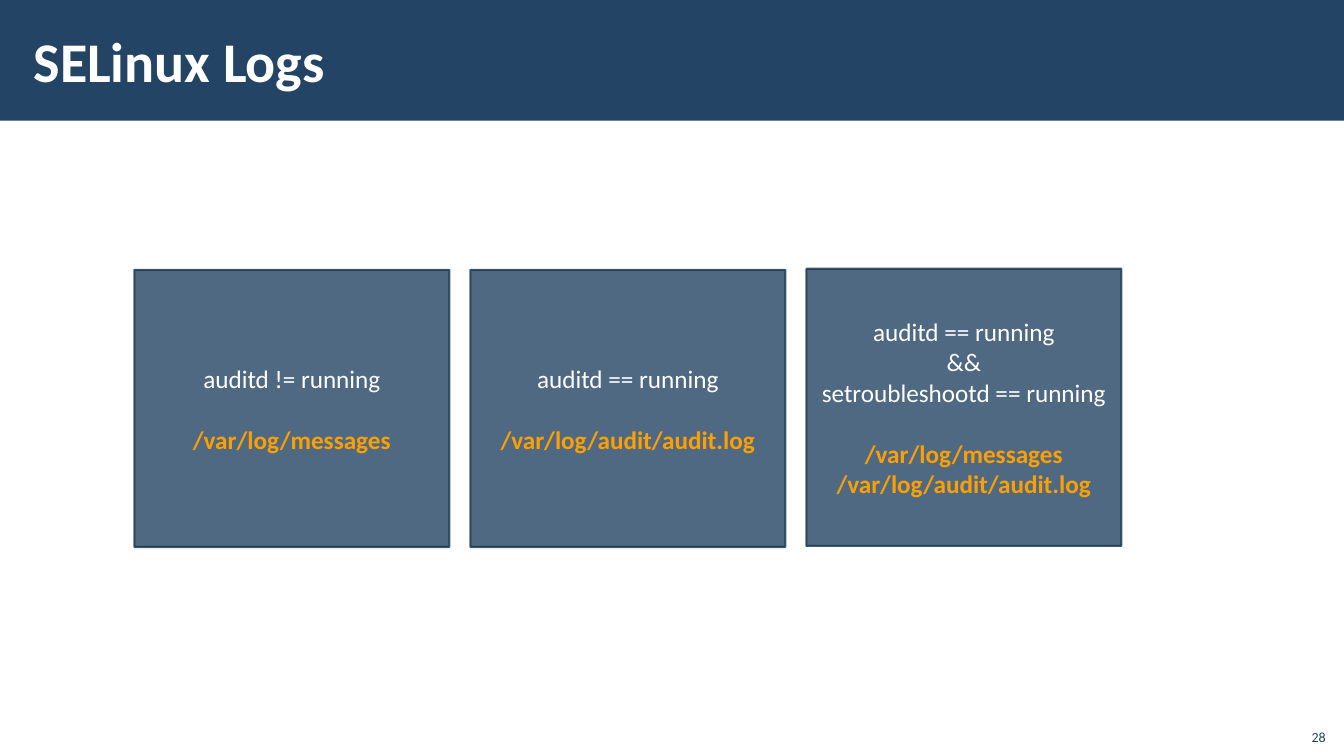
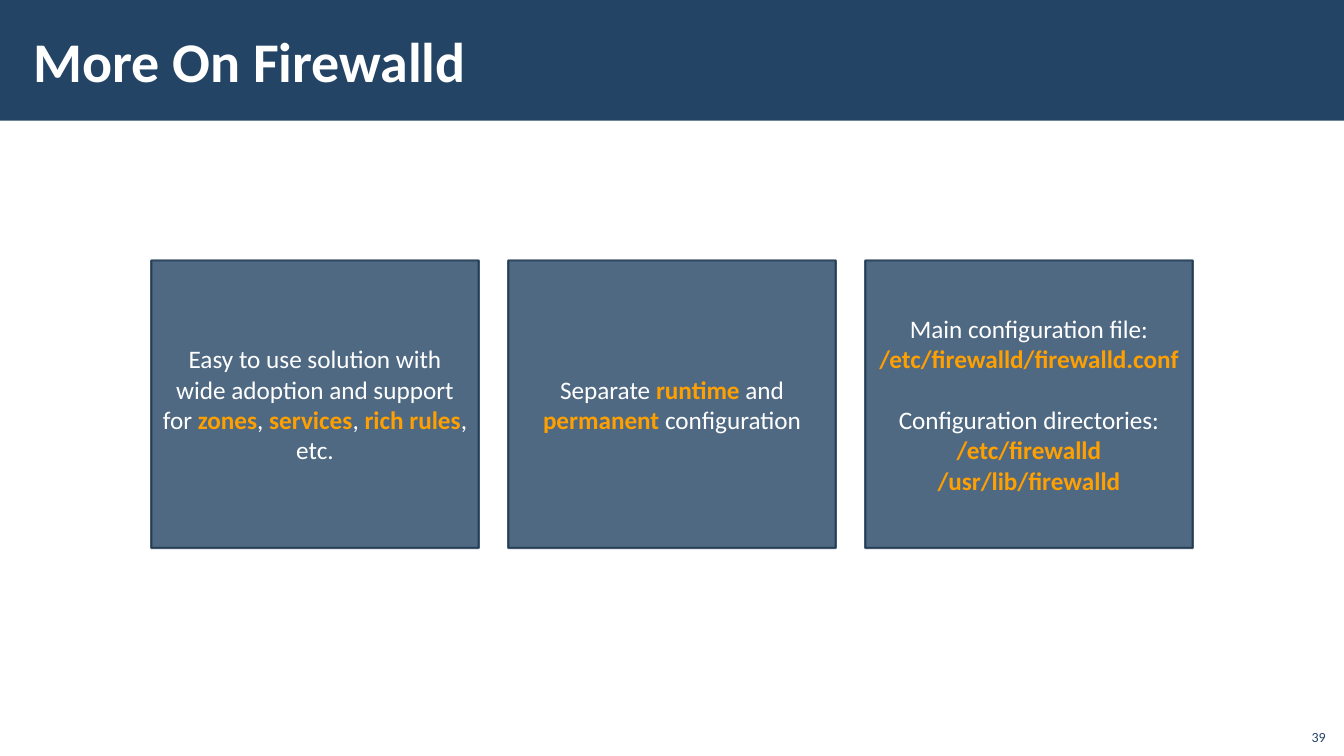
from lxml.etree import SubElement
from pptx import Presentation
from pptx.dml.color import RGBColor
from pptx.enum.shapes import MSO_SHAPE
from pptx.enum.text import MSO_ANCHOR, MSO_AUTO_SIZE, PP_ALIGN
from pptx.oxml.ns import qn
from pptx.util import Pt

PX = 9525  # EMU in one px, at 96 px to the inch
HUES = {"navy": "234465", "edge": "1A334C", "gold": "FFA000", "white": "FFFFFF"}
FONTS = {
    "title": {"name": "Calibri", "size": Pt(40), "bold": True},
    "card": {"name": "Calibri", "size": Pt(18), "bold": False},
    "strong": {"name": "Calibri", "size": Pt(18), "bold": True},
    "page": {"name": "Calibri", "size": Pt(10), "bold": False},
}
WIDE, HIGH = 1280, 720


def px(*sizes):
    return [size * PX for size in sizes]


def hue(name):
    return RGBColor.from_string(HUES[name])


def apply(target, values):
    for key, value in values.items():
        setattr(target, key, value)


class Deck:
    def __init__(self):
        self.file = Presentation()
        apply(self.file, dict(zip(("slide_width", "slide_height"), px(WIDE, HIGH))))
        self.layout = self.file.slide_layouts[5]
        self.slide = None

    def start(self, title, page):
        first = self.slide is None
        self.slide = self.file.slides.add_slide(self.layout)
        if first:
            self.band()
        self.title(title)
        self.page(page)

    def band(self):
        # Kept on the layout, so every slide shows it
        bar = self.rect(0, 0, WIDE, 115, "navy")
        bar.line.fill.background()
        self.layout.shapes.element.insert(2, bar.element)

    def rect(self, left, top, width, height, fill):
        box = self.slide.shapes.add_shape(
            MSO_SHAPE.RECTANGLE, *px(left, top, width, height))
        box.shadow.inherit = False
        box.fill.solid()
        box.fill.fore_color.rgb = hue(fill)
        return box

    def run(self, para, text, style, color):
        run = para.add_run()
        run.text = text
        apply(run.font, FONTS[style])
        run.font.color.rgb = hue(color)

    def title(self, text):
        head = self.slide.shapes.title
        apply(head, dict(zip(("left", "top", "width", "height"), px(20, 11, 1020, 93))))
        frame = head.text_frame
        apply(frame, {
            "auto_size": MSO_AUTO_SIZE.NONE, "word_wrap": True,
            "vertical_anchor": MSO_ANCHOR.MIDDLE,
            "margin_left": 12 * PX, "margin_right": 12 * PX,
            "margin_top": 4 * PX, "margin_bottom": 4 * PX,
        })
        para = frame.paragraphs[0]
        para.alignment = PP_ALIGN.LEFT
        self.run(para, text, "title", "white")

    def page(self, number):
        box = self.slide.shapes.add_textbox(*px(1234, 684, 38, 31))
        frame = box.text_frame
        apply(frame, {"word_wrap": True, "vertical_anchor": MSO_ANCHOR.BOTTOM})
        para = frame.paragraphs[0]
        para.alignment = PP_ALIGN.RIGHT
        self.run(para, str(number), "page", "navy")

    def card(self, left, top, width, height, blocks):
        """Blocks are lists of lines; *stars* mark strong words."""
        box = self.rect(left, top, width, height, "navy")
        box.line.color.rgb = hue("edge")
        box.line.width = Pt(1.5)
        # Both fill and outline are 80% opaque
        for color in box.element.spPr.iter(qn("a:srgbClr")):
            SubElement(color, qn("a:alpha"), val="80000")
        frame = box.text_frame
        apply(frame, {"word_wrap": True, "vertical_anchor": MSO_ANCHOR.MIDDLE})
        para = None
        for block in blocks:
            for row, line in enumerate(block):
                gap = para is not None and row == 0
                para = frame.paragraphs[0] if para is None else frame.add_paragraph()
                para.alignment = PP_ALIGN.CENTER
                if gap:
                    para.space_before = Pt(22)
                for part, text in enumerate(line.split("*")):
                    if text:
                        look = ("strong", "gold") if part % 2 else ("card", "white")
                        self.run(para, text, *look)

    def cards(self, left, tops, width, height, step, texts):
        for spot, (top, blocks) in enumerate(zip(tops, texts)):
            self.card(left + spot * step, top, width, height, blocks)


def main():
    deck = Deck()

    # Where the logs go
    deck.start("SELinux Logs", 28)
    deck.cards(128, (257, 257, 256), 300, 264, 320, [
        [["auditd != running"], ["*/var/log/messages*"]],
        [["auditd == running"], ["*/var/log/audit/audit.log*"]],
        [["auditd == running", "&&", "setroubleshootd == running"],
         ["*/var/log/messages*", "*/var/log/audit/audit.log*"]],
    ])

    # Firewall facts
    deck.start("More On Firewalld", 39)
    deck.cards(144, (248, 248, 248), 312, 274, 340, [
        [["Easy to use solution with wide adoption and support for "
          "*zones*, *services*, *rich rules*, etc."]],
        [["Separate *runtime* and *permanent* configuration"]],
        [["Main configuration file:", "*/etc/firewalld/firewalld.conf*"],
         ["Configuration directories:", "*/etc/firewalld*", "*/usr/lib/firewalld*"]],
    ])

    deck.file.save("out.pptx")


if __name__ == "__main__":
    main()
